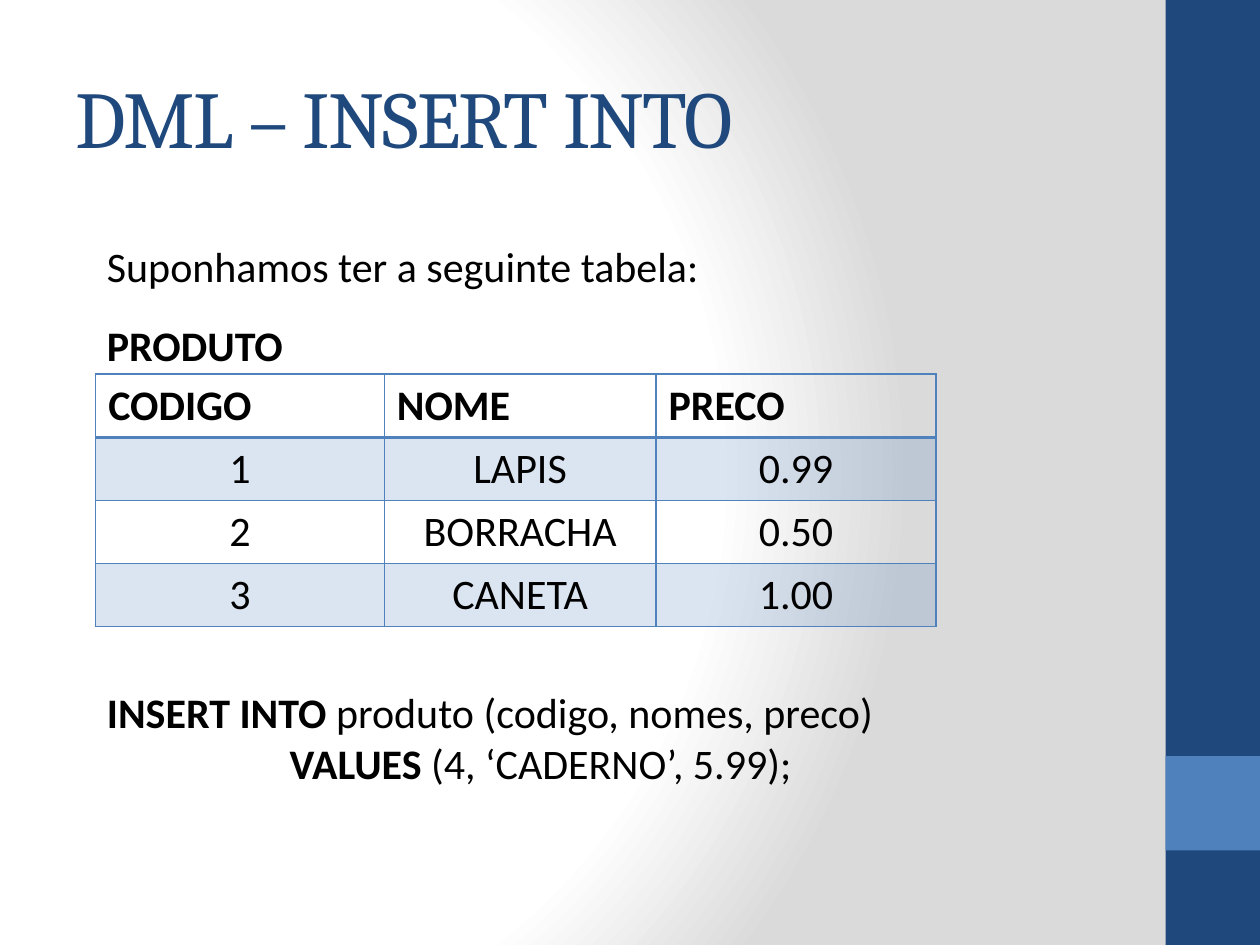
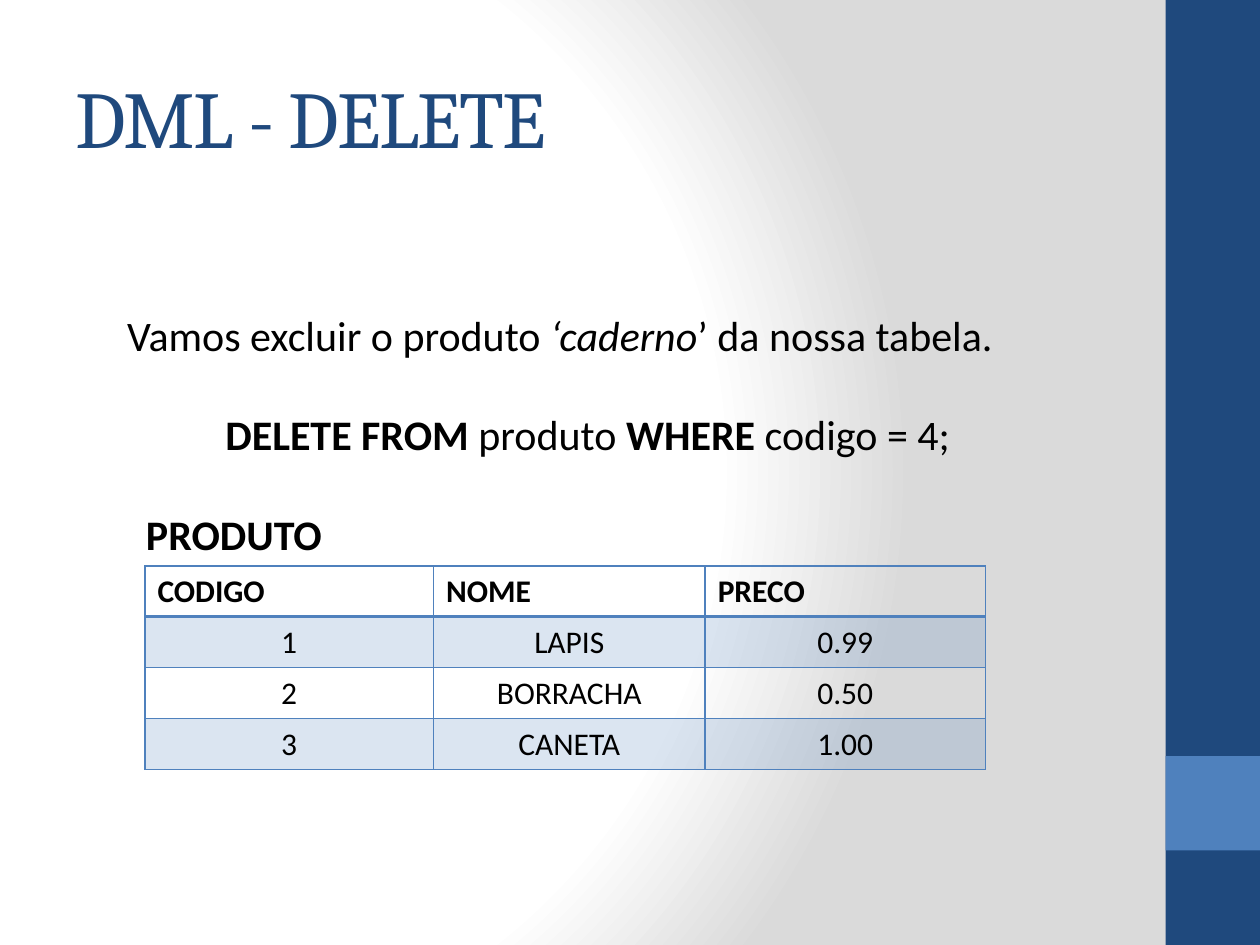
from collections import namedtuple

from pptx import Presentation
from pptx.dml.color import RGBColor
from pptx.enum.shapes import MSO_SHAPE
from pptx.enum.text import MSO_ANCHOR, PP_ALIGN
from pptx.oxml import parse_xml
from pptx.oxml.ns import nsdecls
from pptx.util import Inches, Pt

RECTANGLE = MSO_SHAPE.RECTANGLE
MIDDLE = MSO_ANCHOR.MIDDLE
LEFT, CENTER, JUSTIFY = PP_ALIGN.LEFT, PP_ALIGN.CENTER, PP_ALIGN.JUSTIFY

CELL = Inches(0.25)
COLUMNS, ROWS = 40, 30
BAND_LEFT = 37

COLORS = {
    "navy": "1F497D",
    "blue": "4F81BD",
    "text": "000000",
    "white": "FFFFFF",
    "gray": "DADADA",
}
BODY = {"name": "Calibri", "size": Pt(24), "bold": False, "italic": False}
BOLD = {**BODY, "bold": True}
ITALIC = {**BODY, "italic": True}
TITLE = {"name": "Cambria", "size": Pt(46), "bold": False}

HEADER = ("CODIGO", "NOME", "PRECO")
PRODUCTS = (("1", "LAPIS", "0.99"), ("2", "BORRACHA", "0.50"), ("3", "CANETA", "1.00"))
COLUMN_SHARES = (0.34, 0.32, 0.33)

Box = namedtuple("Box", "left top width height")


def lengths(box):
    return [round(value * CELL) for value in box]


def add_span(para, text, style, color="text"):
    span = para.add_run()
    span.text = text
    for name, value in style.items():
        setattr(span.font, name, value)
    span.font.color.rgb = RGBColor.from_string(COLORS[color])
    return span


def add_text(page, box, lines, align=LEFT, wrap=True):
    frame = page.shapes.add_textbox(*lengths(box)).text_frame
    frame.word_wrap = wrap
    for index, spans in enumerate(lines):
        para = frame.paragraphs[0] if index == 0 else frame.add_paragraph()
        para.alignment = align
        for text, style in spans:
            add_span(para, text, style)
    return frame


def add_background(page):
    stops = "".join(
        f'<a:gs pos="{share * 1000}"><a:srgbClr val="{COLORS[color]}"/></a:gs>'
        for share, color in ((0, "white"), (75, "white"), (100, "gray"))
    )
    page.element.cSld.insert(0, parse_xml(
        f'<p:bg {nsdecls("p", "a")}><p:bgPr><a:gradFill><a:gsLst>{stops}</a:gsLst>'
        '<a:path path="circle"><a:fillToRect l="20000" t="50000" r="100000" b="50000"/>'
        '</a:path></a:gradFill><a:effectLst/></p:bgPr></p:bg>'
    ))


def add_side_band(page, box):
    square = Box(box.left, box.top + 0.8 * box.height, box.width, box.width)
    for part, color in ((box, "navy"), (square, "blue")):
        shape = page.shapes.add_shape(RECTANGLE, *lengths(part))
        shape.shadow.inherit = False
        shape.fill.solid()
        shape.fill.fore_color.rgb = RGBColor.from_string(COLORS[color])
        shape.line.fill.background()


def add_title(page, box, text):
    frame = page.shapes.add_textbox(*lengths(box)).text_frame
    frame.word_wrap = True
    frame.vertical_anchor = MIDDLE
    span = add_span(frame.paragraphs[0], text, TITLE, "navy")
    span.font._element.set("spc", "-100")


def add_page(deck, title):
    page = deck.slides.add_slide(deck.slide_layouts[6])
    add_background(page)
    add_side_band(page, Box(BAND_LEFT, 0, COLUMNS - BAND_LEFT, ROWS))
    add_title(page, Box(2, 1.2, 33.32, 5), title)
    return page


def set_borders(cell, bottom):
    properties = cell._tc.get_or_add_tcPr()
    for index, (side, width) in enumerate((("L", 1), ("R", 1), ("T", 1), ("B", bottom))):
        properties.insert(index, parse_xml(
            f'<a:ln{side} {nsdecls("a")} w="{Pt(width)}"><a:solidFill>'
            f'<a:srgbClr val="{COLORS["blue"]}"/></a:solidFill></a:ln{side}>'
        ))


def fill_cell(cell, shaded):
    if not shaded:
        cell.fill.background()
        return
    cell.fill.solid()
    cell.fill.fore_color.rgb = RGBColor.from_string(COLORS["blue"])
    color = cell._tc.tcPr.find(".//{*}srgbClr")
    color.append(parse_xml(f'<a:alpha {nsdecls("a")} val="20000"/>'))


def add_product_table(page, box, size):
    records = (HEADER, *PRODUCTS)
    table = page.shapes.add_table(len(records), len(HEADER), *lengths(box)).table
    table.first_row = table.horz_banding = False
    for column, share in zip(table.columns, COLUMN_SHARES):
        column.width = round(share / sum(COLUMN_SHARES) * box.width * CELL)
    for row, record in enumerate(records):
        is_header = row == 0
        style = {**(BOLD if is_header else BODY), "size": size}
        for column, text in enumerate(record):
            cell = table.cell(row, column)
            fill_cell(cell, row % 2 == 1)
            set_borders(cell, 2 if is_header else 1)
            para = cell.text_frame.paragraphs[0]
            para.alignment = LEFT if is_header else CENTER
            add_span(para, text, style)


def add_product_block(page, label_box, table_box, size):
    add_product_table(page, table_box, size)
    add_text(page, label_box, [[("PRODUTO", BOLD)]], JUSTIFY)


def build_insert_page(deck):
    page = add_page(deck, "DML – INSERT INTO")
    add_text(page, Box(3, 7.44, 31.8, 2),
             [[("Suponhamos ter a seguinte tabela:", BODY)]], JUSTIFY)
    add_product_block(page, Box(3, 9.96, 27.4, 2), Box(3.04, 11.88, 26.68, 8), Pt(24))
    statement = add_text(page, Box(3, 21.6, 28.36, 3.64), [
        [("INSERT INTO ", BOLD), ("produto (codigo, nomes, preco)", BODY)],
        [("VALUES", BOLD), (" (4, ‘CADERNO’, 5.99);", BODY)],
    ])
    values = statement.paragraphs[1]._p.get_or_add_pPr()
    for name, value in {"marL": round(5.8 * CELL), "indent": 0}.items():
        values.set(name, str(value))


def build_delete_page(deck):
    page = add_page(deck, "DML - DELETE")
    add_text(page, Box(3.64, 9.64, 29.92, 2), [[
        ("Vamos excluir o produto ", BODY),
        ("‘caderno", ITALIC),
        ("’ da nossa tabela.", BODY),
    ]])
    add_text(page, Box(6.76, 12.76, 24.04, 2), [[
        ("DELETE FROM ", BOLD), ("produto ", BODY),
        ("WHERE ", BOLD), ("codigo = 4;", BODY),
    ]], wrap=False)
    add_product_block(page, Box(4.24, 15.96, 27.4, 2), Box(4.6, 17.96, 26.68, 6.48), Pt(18))


def main():
    deck = Presentation()
    deck.slide_width, deck.slide_height = COLUMNS * CELL, ROWS * CELL
    build_insert_page(deck)
    build_delete_page(deck)
    deck.save("out.pptx")


main()
